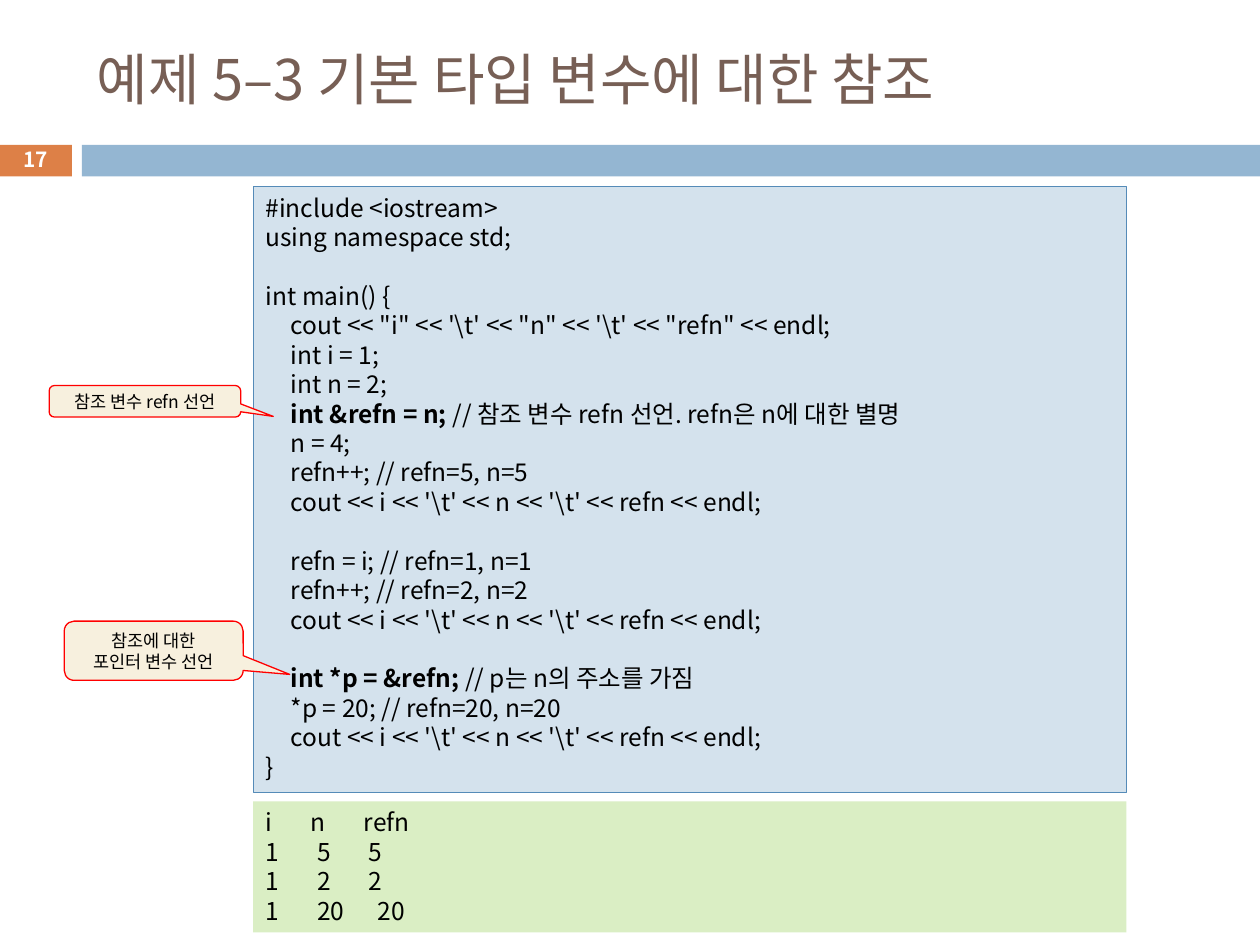
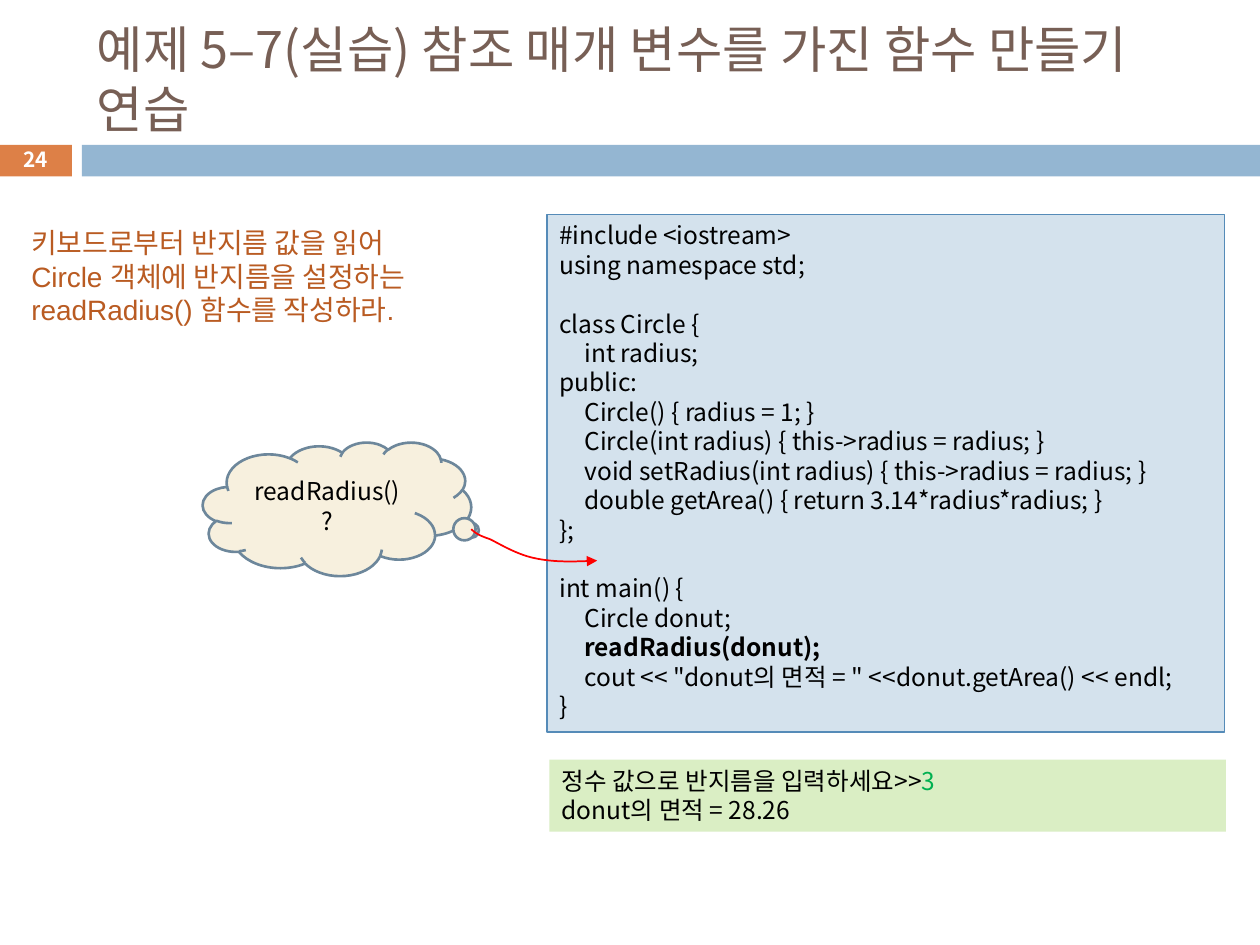
from lxml import etree
from pptx import Presentation
from pptx import util as u
from pptx.dml.color import RGBColor
from pptx.enum import shapes, text
from pptx.oxml.ns import qn

FONT = "Noto Sans CJK KR"
BLACK, WHITE, RED, CREAM = "000000", "FFFFFF", "FF0000", "F7F0DE"
ORANGE, BLUE, BROWN, RUST = "DD8047", "94B6D2", "775F55", "B95B22"
CODE_FILL, CODE_LINE, OUTPUT_FILL = "D4E2ED", "558BB8", "DAEEC4"
CLOUD_LINE, INPUT_GREEN = "6D879B", "00B050"
SHAPE = shapes.MSO_SHAPE
CENTER, LEFT = text.PP_ALIGN.CENTER, text.PP_ALIGN.LEFT
MIDDLE, TOP = text.MSO_ANCHOR.MIDDLE, text.MSO_ANCHOR.TOP
INDENT = u.Inches(0.2)


def add_box(page, place, kind=SHAPE.RECTANGLE, fill=None, line=None, width=0.75):
    """Add a preset shape, or a text box when there is no fill."""
    place = [u.Inches(value) for value in place]
    if fill is None:
        return page.shapes.add_textbox(*place)
    box = page.shapes.add_shape(kind, *place)
    box.shadow.inherit = False
    box.fill.solid()
    box.fill.fore_color.rgb = RGBColor.from_string(fill)
    if line:
        box.line.color.rgb = RGBColor.from_string(line)
        box.line.width = u.Pt(width)
    else:
        box.line.fill.background()
    return box


def write(box, lines, size, color=BLACK, align=LEFT, anchor=TOP, font=FONT, wrap=True):
    """Fill a box; a leading tab indents, **marks** set bold text."""
    frame = box.text_frame
    frame.word_wrap = wrap
    frame.vertical_anchor = anchor
    for index, line in enumerate(lines):
        para = frame.paragraphs[0] if index == 0 else frame.add_paragraph()
        para.alignment = align
        para.font.size = u.Pt(size)
        para.font.name = font
        para.font.color.rgb = RGBColor.from_string(color)
        if line.startswith("\t"):
            para._p.get_or_add_pPr().set("marL", str(INDENT))
            para._p.get_or_add_pPr().set("indent", "0")
            line = line[1:]
        for part, words in enumerate(line.split("**")):
            if words:
                span = para.add_run()
                span.text = words
                span.font.size = u.Pt(size)
                span.font.name = font
                span.font.color.rgb = RGBColor.from_string(color)
                span.font.bold = part % 2 == 1
                east = etree.SubElement(span.font._element, qn("a:ea"))
                east.set("typeface", FONT)
    return frame


deck = Presentation()
deck.slide_width, deck.slide_height = u.Inches(10), u.Inches(7.5)

# Shared frame: bands, title and slide number
pages = []
for number, title, size in [
    (17, "예제 5–3 기본 타입 변수에 대한 참조", 32),
    (24, "예제 5–7(실습) 참조 매개 변수를 가진 함수 만들기 연습", 28.8),
]:
    page = deck.slides.add_slide(deck.slide_layouts[6])
    add_box(page, (-0.01, 1.15, 0.58, 0.25), fill=ORANGE)
    add_box(page, (0.65, 1.15, 9.35, 0.25), fill=BLUE)
    write(add_box(page, (0.67, 0.25, 8.92, 0.74)), [title], size, BROWN, anchor=MIDDLE)
    write(add_box(page, (-0.01, 1.13, 0.58, 0.27)), [f"**{number}**"], 11.9, WHITE,
          CENTER, MIDDLE)
    pages.append(page)
reference_page, exercise_page = pages

# Reference example: code
print_values = r"cout << i << '\t' << n << '\t' << refn << endl;"
reference_code = [
    "#include <iostream>",
    "using namespace std;",
    "",
    "int main() {",
    "\t" + r"""cout << "i" << '\t' << "n" << '\t' << "refn" << endl;""",
    "\tint i = 1;",
    "\tint n = 2;",
    "\t**int &refn = n; **// 참조 변수 refn 선언. refn은 n에 대한 별명",
    "\tn = 4;",
    "\trefn++; // refn=5, n=5",
    "\t" + print_values,
    "",
    "\trefn = i; // refn=1, n=1",
    "\trefn++; // refn=2, n=2",
    "\t" + print_values,
    "",
    "\t**int *p = &refn; **// p는 n의 주소를 가짐",
    "\t*p = 20; // refn=20, n=20",
    "\t" + print_values,
    "}",
]
code_box = add_box(reference_page, (2.01, 1.48, 6.93, 4.81), fill=CODE_FILL, line=CODE_LINE)
write(code_box, reference_code, 14)

# Reference example: output in tabbed columns
output_rows = [
    ("i\tn\trefn", 0.36, 0.78),
    ("1\t5\t5", 0.41, 0.82),
    ("1\t2\t2", 0.41, 0.82),
    ("1\t20\t20", 0.41, 0.89),
]
output_box = add_box(reference_page, (2.01, 6.36, 6.93, 1.04), fill=OUTPUT_FILL)
output = write(output_box, [row[0] for row in output_rows], 14)
for para, (_, *stops) in zip(output.paragraphs, output_rows):
    tabs = etree.Element(qn("a:tabLst"))
    for stop in stops:
        etree.SubElement(tabs, qn("a:tab"), pos=str(u.Inches(stop)), algn="l")
    para._p.get_or_add_pPr().find(qn("a:defRPr")).addprevious(tabs)

# Reference example: callouts
for place, pointer, lines in [
    ((0.39, 3.06, 1.52, 0.25), (0.67, 0.48), ["참조 변수 refn 선언"]),
    ((0.51, 4.93, 1.42, 0.47), (0.76, 0.4), ["참조에 대한", "포인터 변수 선언"]),
]:
    callout = add_box(reference_page, place, SHAPE.ROUNDED_RECTANGULAR_CALLOUT, CREAM, RED)
    callout.adjustments[0], callout.adjustments[1] = pointer
    write(callout, lines, 10, align=CENTER, anchor=MIDDLE)

# Exercise: code
exercise_code = [
    "#include <iostream>",
    "using namespace std;",
    "",
    "class Circle {",
    "\tint radius;",
    "public:",
    "\tCircle() { radius = 1; }",
    "\tCircle(int radius) { this->radius = radius; }",
    "\tvoid setRadius(int radius) { this->radius = radius; }",
    "\tdouble getArea() { return 3.14*radius*radius; }",
    "};",
    "",
    "int main() {",
    "\tCircle donut;",
    "\t**readRadius(donut);**",
    '\tcout << "donut의 면적 = " <<donut.getArea() << endl;',
    "}",
]
code_box = add_box(exercise_page, (4.34, 1.7, 5.38, 4.11), fill=CODE_FILL, line=CODE_LINE)
write(code_box, exercise_code, 14)

# Exercise: output, with the typed value in green
output_box = add_box(exercise_page, (4.36, 6.03, 5.37, 0.57), fill=OUTPUT_FILL)
output = write(output_box, ["정수 값으로 반지름을 입력하세요>>", "donut의 면적 = 28.26"], 14)
typed = output.paragraphs[0].add_run()
typed.text = "3"
typed.font.size = u.Pt(14)
typed.font.name = FONT
typed.font.color.rgb = RGBColor.from_string(INPUT_GREEN)

# Exercise: task
task = [
    "키보드로부터 반지름 값을 읽어",
    "Circle 객체에 반지름을 설정하는",
    "readRadius() 함수를 작성하라.",
]
write(add_box(exercise_page, (0.15, 1.74, 3.54, 0.91)), task, 16, RUST, font="Arial", wrap=False)

# Exercise: cloud
cloud = add_box(exercise_page, (1.61, 3.51, 2.13, 1.06), SHAPE.CLOUD_CALLOUT, CREAM,
                CLOUD_LINE, 1.5)
cloud.adjustments[0], cloud.adjustments[1] = 0.5, 0.16
write(cloud, ["readRadius() ?"], 14, align=CENTER, anchor=MIDDLE)

# Exercise: curved arrow in hundredths of an inch, three Bézier segments
curve_points = [
    (377, 423), (380, 425), (389, 428),
    (397, 432), (410, 440), (424, 443),
    (438, 446), (456, 446), (474, 445),
]
builder = exercise_page.shapes.build_freeform(374, 420, scale=u.Inches(0.01))
builder.add_line_segments(curve_points, close=False)
arrow = builder.convert_to_shape()
arrow.shadow.inherit = False
arrow.fill.background()
arrow.line.color.rgb = RGBColor.from_string(RED)
arrow.line.width = u.Pt(1)
etree.SubElement(arrow.line._get_or_add_ln(), qn("a:tailEnd"), type="triangle")
outline = next(arrow._element.iter(qn("a:path")))
steps = outline.findall(qn("a:lnTo"))
for first in range(0, len(steps), 3):
    curve = etree.SubElement(outline, qn("a:cubicBezTo"))
    for step in steps[first:first + 3]:
        curve.append(step[0])
        outline.remove(step)

deck.save("out.pptx")
